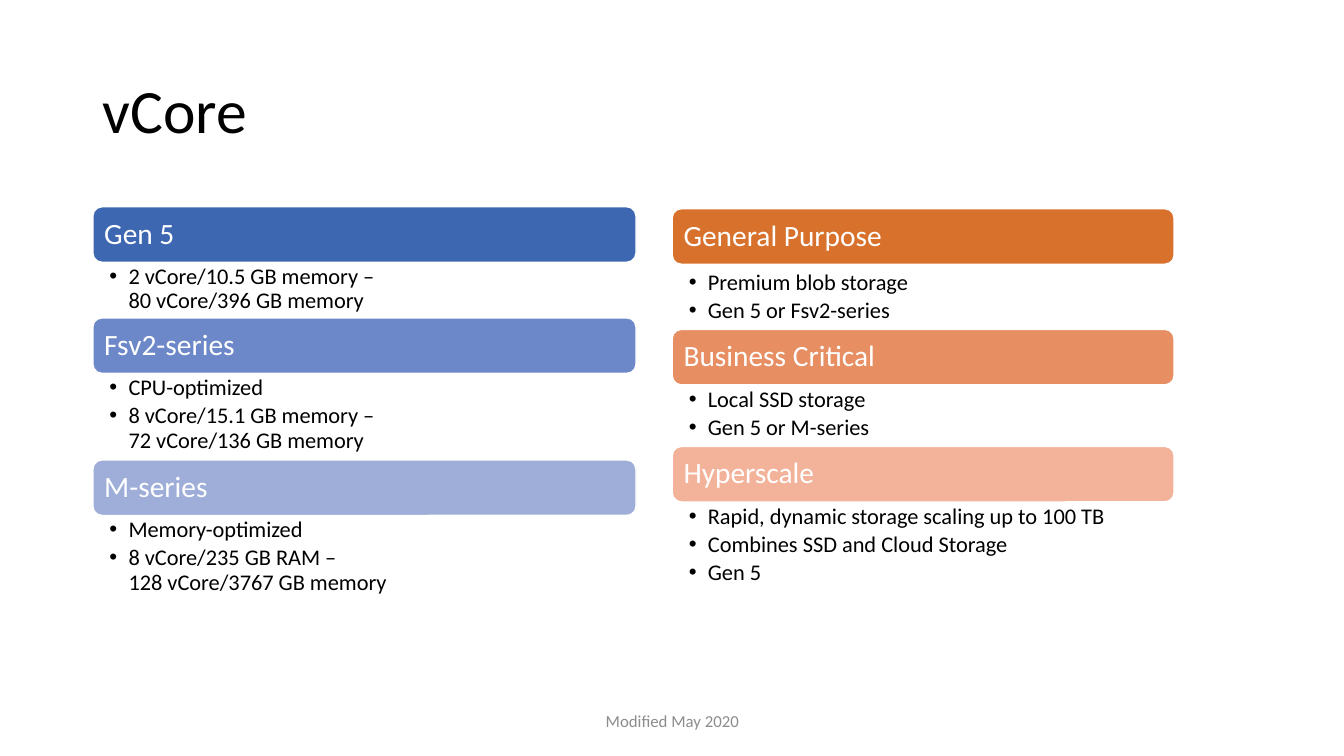
"""Build the vCore slide comparing hardware series and service tiers."""
import copy

import lxml.etree
import pptx
import pptx.dml.color
import pptx.enum.shapes
import pptx.enum.text
import pptx.oxml.ns
import pptx.util

Cm = pptx.util.Cm
Pt = pptx.util.Pt
ALIGN = pptx.enum.text.PP_ALIGN
ANCHOR = pptx.enum.text.MSO_ANCHOR

TITLE = "vCore"
FOOTER = "Modified May 2020"
COLORS = {
    "ink": "000000", "paper": "FFFFFF", "footer": "8C8C8C",
    "blue": "3E67B2", "mid blue": "6C88C8", "pale blue": "9FAED8",
    "orange": "D7712C", "mid orange": "E78F62", "pale orange": "F3B39B",
}
COLUMNS = [
    {"left": 2.34, "top": 5.21, "width": 13.69, "sections": [
        ("Gen 5", "blue", 0, 1.4,
         ["2 vCore/10.5 GB memory –\v80 vCore/396 GB memory"]),
        ("Fsv2-series", "mid blue", 0, 2.18,
         ["CPU-optimized", "8 vCore/15.1 GB memory –\v72 vCore/136 GB memory"]),
        ("M-series", "pale blue", 0, 2.95,
         ["Memory-optimized", "8 vCore/235 GB RAM –\v128 vCore/3767 GB memory"]),
    ]},
    {"left": 16.94, "top": 5.26, "width": 12.65, "sections": [
        ("General Purpose", "orange", 0.1, 1.54,
         ["Premium blob storage", "Gen 5 or Fsv2-series"]),
        ("Business Critical", "mid orange", 0, 1.55,
         ["Local SSD storage", "Gen 5 or M-series"]),
        ("Hyperscale", "pale orange", 0, 2.29,
         ["Rapid, dynamic storage scaling up to 100 TB",
          "Combines SSD and Cloud Storage", "Gen 5"]),
    ]},
]
HEADER_HEIGHT = 1.4
BULLET_INDENT = 0.48


def rgb(name):
    return pptx.dml.color.RGBColor.from_string(COLORS[name])


def write(shape, lines, size, color="ink", align=ALIGN.LEFT, anchor=ANCHOR.MIDDLE,
          margins=(0.25, 0.13), spacing=0.9, after=0, bullet=False):
    frame = shape.text_frame
    frame.word_wrap = True
    frame.auto_size = pptx.enum.text.MSO_AUTO_SIZE.NONE
    frame.vertical_anchor = anchor
    frame.margin_left = frame.margin_right = Cm(margins[0])
    frame.margin_top = frame.margin_bottom = Cm(margins[1])
    for index, line in enumerate(lines):
        para = frame.add_paragraph() if index else frame.paragraphs[0]
        para.text = line
        para.alignment = align
        para.line_spacing = spacing
        para.space_before = Pt(0)
        para.space_after = Pt(after)
        for span in para.runs:
            span.font.name = "Calibri"
            span.font.size = Pt(size)
            span.font.color.rgb = rgb(color)
        for line_break in para._p.findall(pptx.oxml.ns.qn("a:br")):
            line_break.append(copy.deepcopy(para.runs[0]._r.rPr))
        if bullet:
            add_bullet(para)


def add_bullet(para):
    properties = para._p.get_or_add_pPr()
    properties.set("marL", str(Cm(BULLET_INDENT)))
    properties.set("indent", str(-Cm(BULLET_INDENT)))
    font = lxml.etree.SubElement(properties, pptx.oxml.ns.qn("a:buFont"))
    font.set("typeface", "Arial")
    mark = lxml.etree.SubElement(properties, pptx.oxml.ns.qn("a:buChar"))
    mark.set("char", "•")


def add_section(page, left, top, width, section):
    heading, color, gap, height, items = section
    bar = page.shapes.add_shape(
        pptx.enum.shapes.MSO_SHAPE.ROUNDED_RECTANGLE,
        Cm(left), Cm(top), Cm(width), Cm(HEADER_HEIGHT))
    bar.shadow.inherit = False
    bar.fill.solid()
    bar.fill.fore_color.rgb = rgb(color)
    bar.line.color.rgb = rgb("paper")
    bar.line.width = Pt(1)
    write(bar, [heading], 21, color="paper", margins=(0.22, 0.1))
    top += HEADER_HEIGHT + gap
    box = page.shapes.add_textbox(Cm(left), Cm(top), Cm(width), Cm(height))
    write(box, items, 16, anchor=ANCHOR.TOP, margins=(0.42, 0.07), after=3, bullet=True)
    return top + height


def main():
    deck = pptx.Presentation()
    deck.slide_width, deck.slide_height = Cm(33.87), Cm(19.05)
    page = deck.slides.add_slide(deck.slide_layouts.get_by_name("Title Only"))

    title = page.shapes.title
    title.left, title.top, title.width, title.height = Cm(2.34), Cm(1.02), Cm(29.21), Cm(3.68)
    write(title, [TITLE], 44)

    for column in COLUMNS:
        top = column["top"]
        for section in column["sections"]:
            top = add_section(page, column["left"], top, column["width"], section)

    footer = page.shapes.add_textbox(Cm(11.23), Cm(17.65), Cm(11.43), Cm(1.02))
    write(footer, [FOOTER], 12, color="footer", align=ALIGN.CENTER, spacing=1.0)
    deck.save("out.pptx")


if __name__ == "__main__":
    main()
